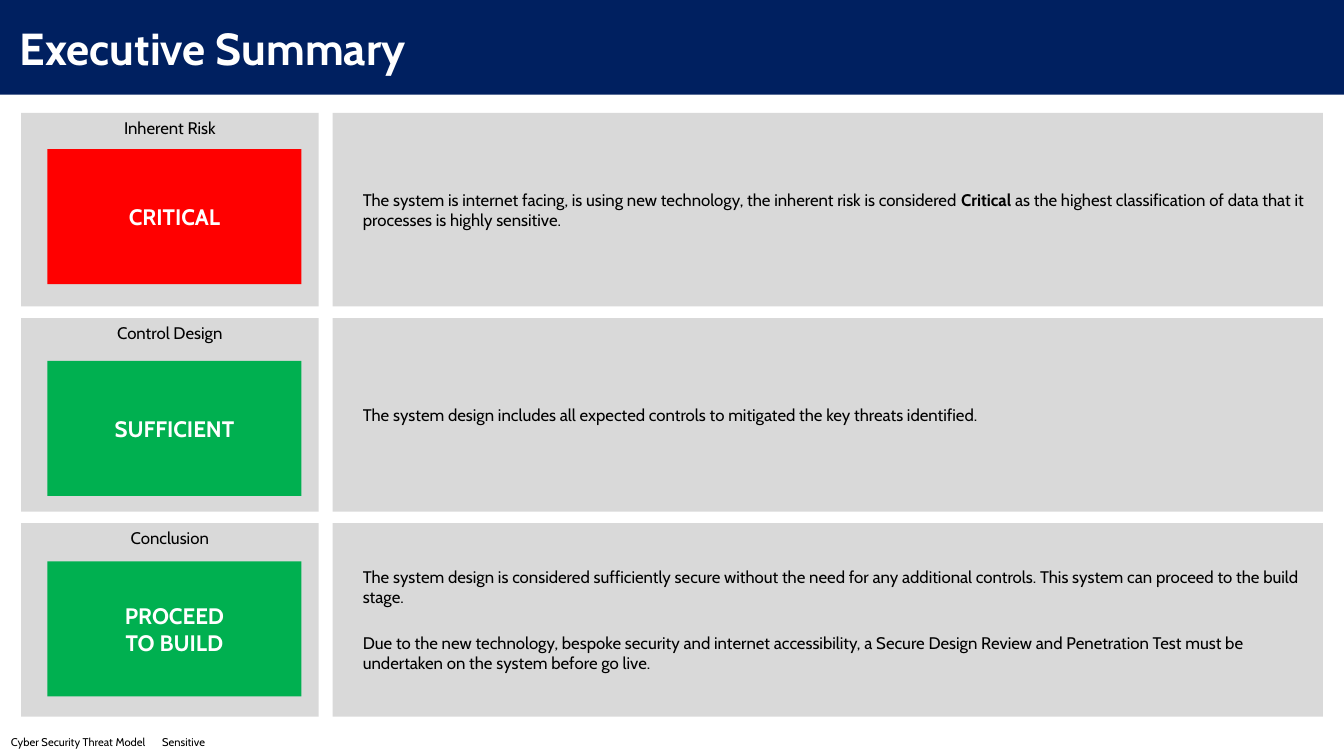
from dataclasses import dataclass

from lxml import etree
from pptx import Presentation
from pptx.dml.color import RGBColor
from pptx.enum.shapes import MSO_SHAPE
from pptx.enum.text import MSO_ANCHOR, PP_ALIGN
from pptx.oxml.ns import qn
from pptx.util import Inches, Pt

RECT = MSO_SHAPE.RECTANGLE
TOP, MIDDLE = MSO_ANCHOR.TOP, MSO_ANCHOR.MIDDLE
LEFT, CENTER = PP_ALIGN.LEFT, PP_ALIGN.CENTER

FONT = "Cabin"
COLORS = {
    "navy": "002060",
    "panel": "D9D9D9",
    "red": "FF0000",
    "green": "00B050",
    "white": "FFFFFF",
    "black": "000000",
}
SLIDE_W, SLIDE_H = 13.33, 7.5
FIRST_TOP, LAST_TOP, PANEL_H = 1.12, 5.19, 1.92


@dataclass
class TextStyle:
    size: float
    color: str = "black"
    bold: bool = False
    align: PP_ALIGN = LEFT
    anchor: MSO_ANCHOR = MIDDLE
    indent: float = 0
    spacing: float = 0


@dataclass
class Finding:
    label: str
    rating: str
    color: str
    badge_top: float
    paragraphs: list[str]  # text between asterisks is bold


TITLE = TextStyle(32, "white", bold=True, indent=0.1)
LABEL = TextStyle(12, align=CENTER, anchor=TOP)
BADGE = TextStyle(16, "white", bold=True, align=CENTER)
BODY = TextStyle(12, indent=0.2, spacing=9)
FOOTER = TextStyle(8, indent=0.01)

FINDINGS = [
    Finding("Inherent Risk", "CRITICAL", "red", 1.48, [
        "The system is internet facing, is using new technology, the inherent risk "
        "is considered *Critical * as the highest classification of data that it "
        "processes is highly sensitive.".replace("* as", "*as"),
    ]),
    Finding("Control Design", "SUFFICIENT", "green", 3.58, [
        "The system design includes all expected controls to mitigated the key "
        "threats identified.",
    ]),
    Finding("Conclusion", "PROCEED\nTO BUILD", "green", 5.57, [
        "The system design is considered sufficiently secure without the need for "
        "any additional controls. This system can proceed to the build stage.",
        "Due to the new technology, bespoke security and internet accessibility, a "
        "Secure Design Review and Penetration Test must be undertaken on the system "
        "before go live.",
    ]),
]


def rgb(name: str) -> RGBColor:
    return RGBColor.from_string(COLORS[name])


def write(tf, paragraphs: list[str], style: TextStyle) -> None:
    tf.word_wrap = True
    tf.vertical_anchor = style.anchor
    for i, text in enumerate(paragraphs):
        p = tf.paragraphs[0] if i == 0 else tf.add_paragraph()
        p.alignment = style.align
        p.space_before = p.space_after = Pt(style.spacing)
        p.font.name, p.font.size = FONT, Pt(style.size)
        p.font.bold, p.font.color.rgb = style.bold, rgb(style.color)
        pPr = p._p.get_or_add_pPr()
        pPr.set("marL", str(Inches(style.indent)))
        pPr.set("indent", "0")
        for j, part in enumerate(text.split("*")):
            r = p.add_run()
            r.text = part
            if j % 2:
                r.font.bold = True


def add_box(s, left: float, top: float, width: float, height: float,
            fill: str, paragraphs: list[str], style: TextStyle) -> None:
    sp = s.shapes.add_shape(RECT, Inches(left), Inches(top), Inches(width), Inches(height))
    sp.shadow.inherit = False
    sp.fill.solid()
    sp.fill.fore_color.rgb = rgb(fill)
    sp.line.fill.background()
    write(sp.text_frame, paragraphs, style)


def add_footer(s, left_text: str, right_text: str) -> None:
    height = 0.27
    sp = s.shapes.add_textbox(0, Inches(SLIDE_H - height), Inches(SLIDE_W), Inches(height))
    tf = sp.text_frame
    write(tf, [f"{left_text}\t{right_text}"], FOOTER)
    # Right tab stop, placed ahead of the default run properties
    pPr = tf.paragraphs[0]._p.get_or_add_pPr()
    tabs = etree.Element(qn("a:tabLst"))
    etree.SubElement(tabs, qn("a:tab"), pos=str(Inches(13.07)), algn="r")
    pPr.find(qn("a:defRPr")).addprevious(tabs)


def main() -> None:
    prs = Presentation()
    prs.slide_width, prs.slide_height = Inches(SLIDE_W), Inches(SLIDE_H)
    s = prs.slides.add_slide(prs.slide_layouts[6])

    # Title band and footer
    add_box(s, 0, 0, SLIDE_W, 0.94, "navy", ["Executive Summary"], TITLE)
    add_footer(s, "Cyber Security Threat Model", "Sensitive")

    # One row per finding: label panel, rating badge, explanation
    pitch = (LAST_TOP - FIRST_TOP) / (len(FINDINGS) - 1)
    for i, f in enumerate(FINDINGS):
        top = FIRST_TOP + i * pitch
        add_box(s, 3.3, top, 9.82, PANEL_H, "panel", f.paragraphs, BODY)
        add_box(s, 0.21, top, 2.95, PANEL_H, "panel", [f.label], LABEL)
        add_box(s, 0.47, f.badge_top, 2.52, 1.34, f.color, f.rating.split("\n"), BADGE)

    prs.save("out.pptx")


if __name__ == "__main__":
    main()
